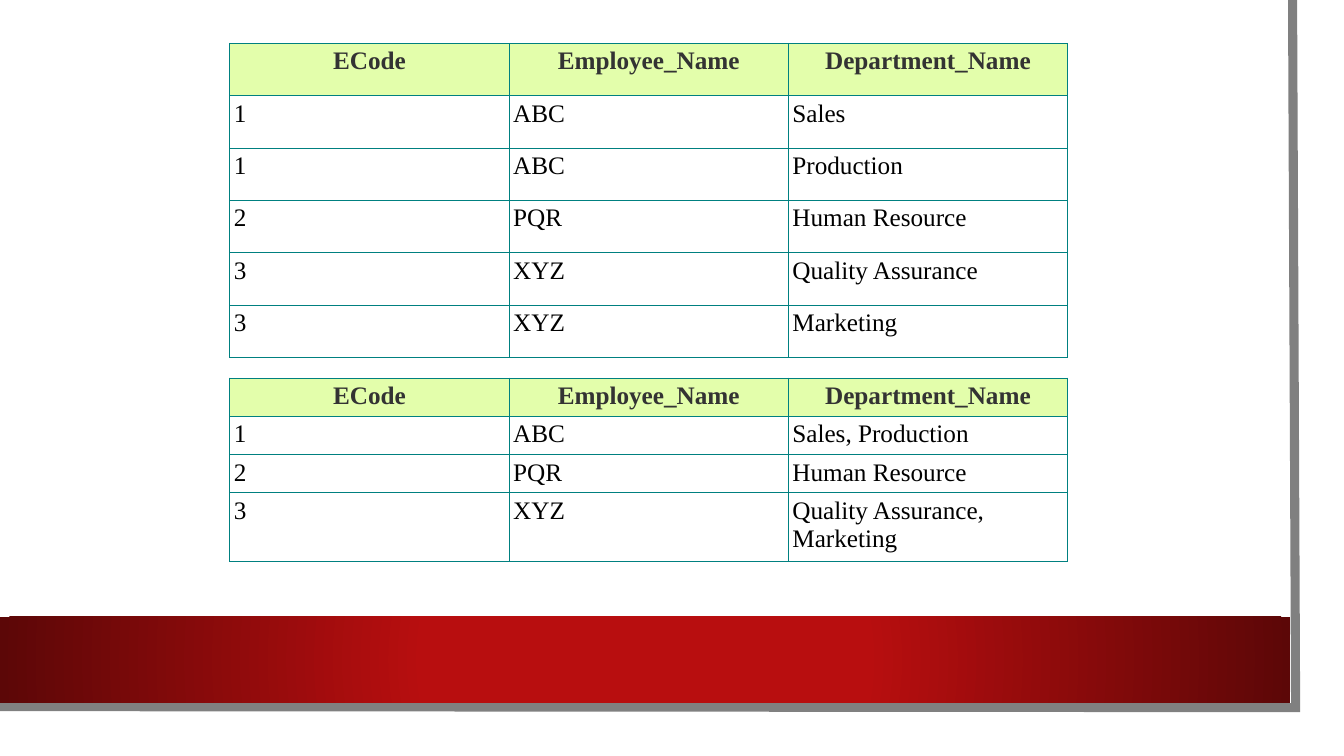
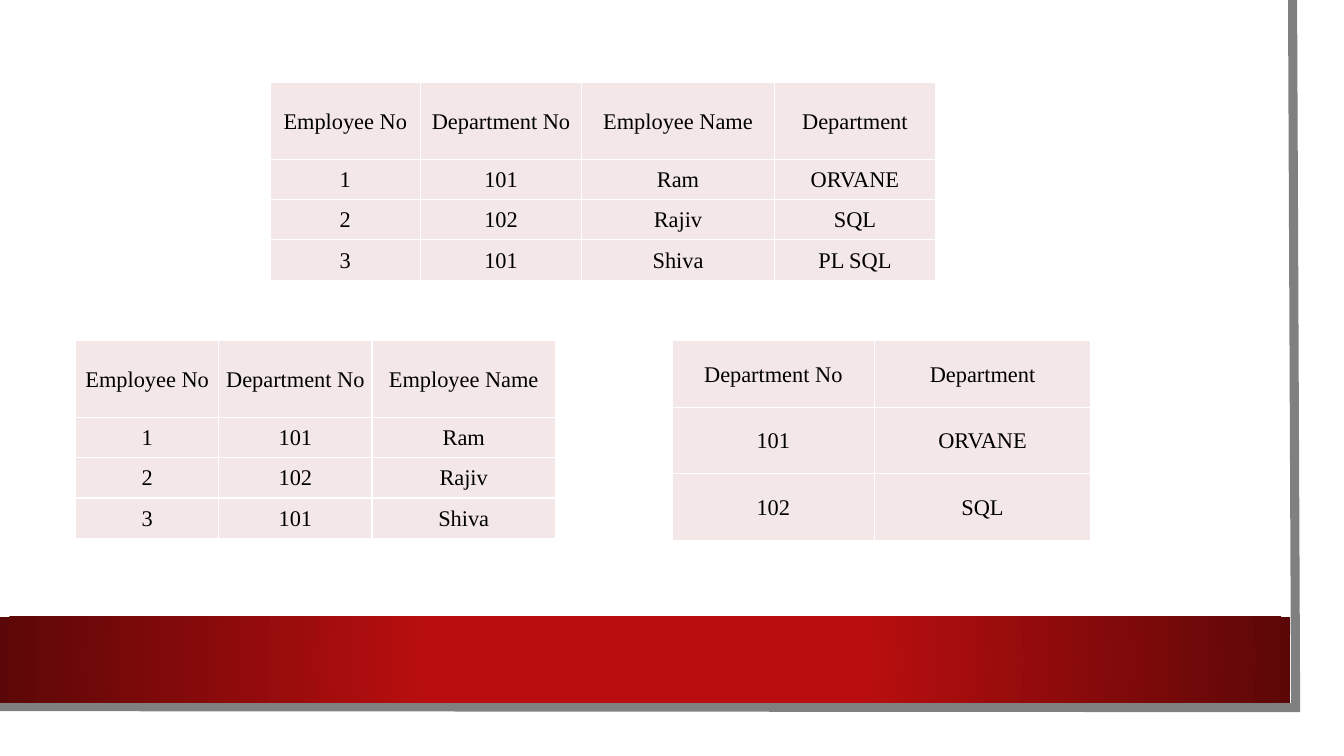
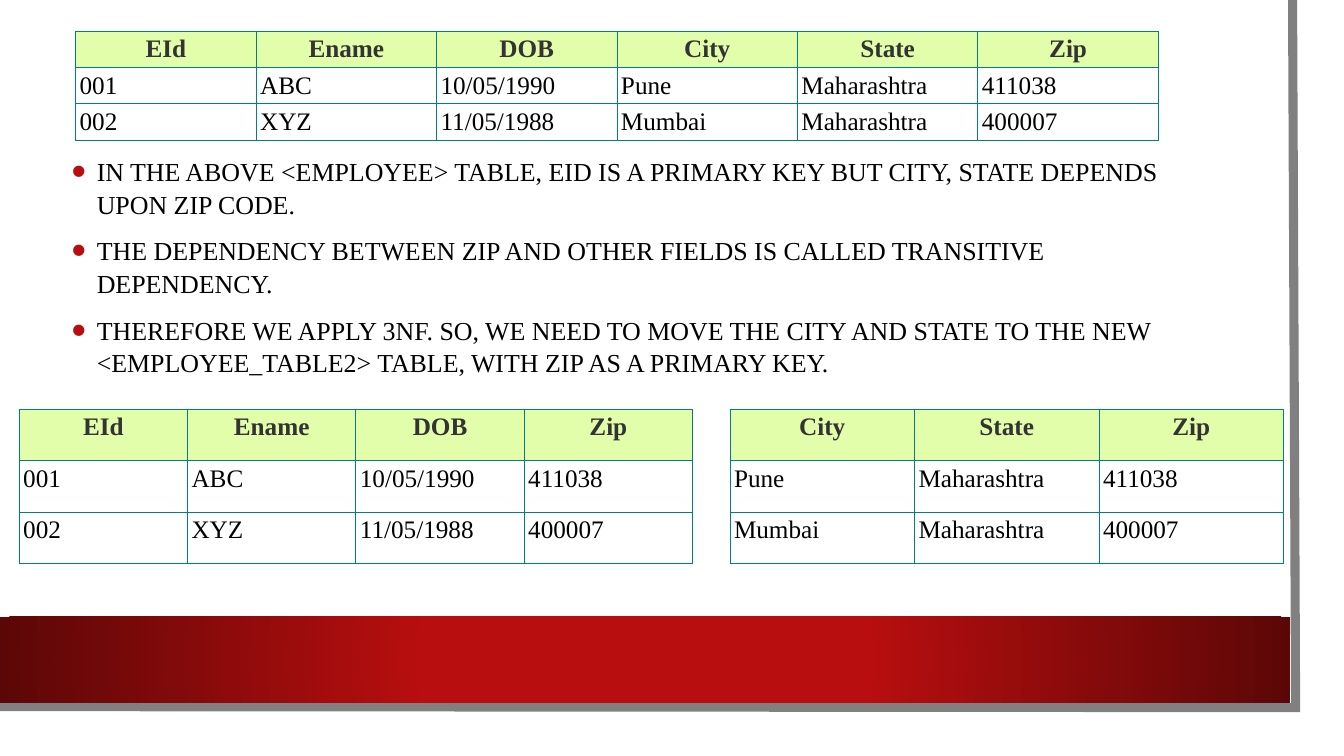
from dataclasses import dataclass

from lxml import etree
from pptx import Presentation
from pptx.dml.color import RGBColor
from pptx.enum.shapes import MSO_SHAPE
from pptx.enum.text import MSO_ANCHOR, MSO_AUTO_SIZE, PP_ALIGN
from pptx.oxml.ns import qn
from pptx.util import Inches, Pt

RECTANGLE = MSO_SHAPE.RECTANGLE
CENTER, LEFT = PP_ALIGN.CENTER, PP_ALIGN.LEFT
TOP, MIDDLE = MSO_ANCHOR.TOP, MSO_ANCHOR.MIDDLE
CONTENT_LAYOUT, BLANK_LAYOUT = 1, 6


@dataclass(frozen=True)
class Theme:
    font: str = "Times New Roman"
    white: str = "FFFFFF"
    black: str = "000000"
    red: str = "B80E0F"
    dark_red: str = "5C0707"
    edge_gray: str = "808080"
    header_text: str = "333333"
    lime: str = "E3FEAB"
    teal: str = "008080"
    blush: str = "F3E7E7"
    grid_size: float = 18
    plain_size: float = 16
    body_size: float = 18.5


THEME = Theme()


@dataclass(frozen=True)
class TableStyle:
    size: float
    header_fill: str
    header_color: str
    header_bold: bool
    body_fill: str
    body_align: PP_ALIGN
    anchor: MSO_ANCHOR
    border: str
    border_width: float
    margins: dict[str, float]


@dataclass(frozen=True)
class TableBlock:
    left: float
    top: float
    columns: list[float]
    heights: list[float]
    rows: list[list[str]]
    style: TableStyle


GRID = TableStyle(
    THEME.grid_size, THEME.lime, THEME.header_text, True, THEME.white, LEFT, TOP, THEME.teal, 0.75,
    {"margin_left": 0.04, "margin_right": 0.04, "margin_top": 0.04, "margin_bottom": 0.04},
)
PLAIN = TableStyle(
    THEME.plain_size, THEME.blush, THEME.black, False, THEME.blush, CENTER, MIDDLE, THEME.white, 1,
    {"margin_left": 0.01, "margin_right": 0.01, "margin_top": 0.01, "margin_bottom": 0},
)


def rgb(value: str) -> RGBColor:
    return RGBColor.from_string(value)


def format_font(font, size: float, color: str, bold: bool = False) -> None:
    for name, value in {"name": THEME.font, "size": Pt(size), "bold": bold}.items():
        setattr(font, name, value)
    font.color.rgb = rgb(color)


def set_borders(cell, color: str, width: float) -> None:
    properties = cell._tc.get_or_add_tcPr()
    for position, side in enumerate(("lnL", "lnR", "lnT", "lnB")):
        line = etree.Element(qn(f"a:{side}"), w=str(int(Pt(width))))
        fill = etree.SubElement(line, qn("a:solidFill"))
        etree.SubElement(fill, qn("a:srgbClr"), val=color)
        properties.insert(position, line)


def format_cell(cell, text: str, style: TableStyle, is_header: bool) -> None:
    cell.text = text
    cell.vertical_anchor = style.anchor
    for name, value in style.margins.items():
        setattr(cell, name, Inches(value))
    cell.fill.solid()
    cell.fill.fore_color.rgb = rgb(style.header_fill if is_header else style.body_fill)
    paragraph = cell.text_frame.paragraphs[0]
    paragraph.alignment = CENTER if is_header else style.body_align
    color = style.header_color if is_header else THEME.black
    format_font(paragraph.runs[0].font, style.size, color, is_header and style.header_bold)
    set_borders(cell, style.border, style.border_width)


def draw_table(slide, block: TableBlock) -> None:
    table = slide.shapes.add_table(
        len(block.rows), len(block.columns), Inches(block.left), Inches(block.top),
        Inches(sum(block.columns)), Inches(sum(block.heights)),
    ).table
    table.first_row = table.horz_banding = False
    for column, width in zip(table.columns, block.columns):
        column.width = Inches(width)
    for row, height in zip(table.rows, block.heights):
        row.height = Inches(height)
    for row_index, texts in enumerate(block.rows):
        for column_index, text in enumerate(texts):
            format_cell(table.cell(row_index, column_index), text, block.style, row_index == 0)


def add_panel(slide, top: float, width: float, height: float):
    """Add a borderless rectangle starting at the left slide edge."""
    panel = slide.shapes.add_shape(RECTANGLE, 0, Inches(top), Inches(width), Inches(height))
    panel.shadow.inherit = False
    panel.line.fill.background()
    return panel


def add_page(slide):
    page = add_panel(slide, 0, 13.1, 7.27)
    page.fill.solid()
    page.fill.fore_color.rgb = rgb(THEME.white)
    return page


def add_page_edge(slide):
    builder = slide.shapes.build_freeform(Inches(12.82), 0)
    builder.add_line_segments(
        [(Inches(12.85), Inches(7.02)), (Inches(-0.03), Inches(7.01))], close=False
    )
    edge = builder.convert_to_shape()
    edge.shadow.inherit = False
    edge.fill.background()
    edge.line.color.rgb = rgb(THEME.edge_gray)
    edge.line.width = Pt(6.5)
    etree.SubElement(edge.element.spPr.find(qn("a:ln")), qn("a:miter"), lim="800000")
    return edge


def add_red_band(slide):
    band = add_panel(slide, 6.12, 12.8, 0.85)
    band.fill.gradient()
    stops = ((0.34, THEME.red), (1, THEME.dark_red))
    for stop, (position, color) in zip(band.fill.gradient_stops, stops):
        stop.position = position
        stop.color.rgb = rgb(color)
    gradient = band.element.spPr.find(qn("a:gradFill"))
    gradient.remove(gradient.find(qn("a:lin")))
    radial = etree.SubElement(gradient, qn("a:path"))
    radial.set("path", "circle")
    etree.SubElement(radial, qn("a:fillToRect"), l="50000", t="50000", r="50000", b="50000")
    return band


def build_master(presentation, slide) -> None:
    """Draw the shared backdrop on a slide, then move it behind the master's placeholders."""
    master_tree = presentation.slide_master.shapes.element
    for index, add_part in enumerate((add_page, add_page_edge, add_red_band)):
        element = add_part(slide).element
        element.nvSpPr.cNvPr.id = 100 + index
        master_tree.insert(2 + index, element)


def set_bullet(paragraph) -> None:
    properties = paragraph._p.get_or_add_pPr()
    properties.set("marL", str(Inches(0.25)))
    properties.set("indent", str(-Inches(0.25)))
    color = etree.SubElement(properties, qn("a:buClr"))
    etree.SubElement(color, qn("a:srgbClr"), val=THEME.red)
    etree.SubElement(properties, qn("a:buSzPct"), val="160000")
    etree.SubElement(properties, qn("a:buFont"), typeface="Arial")
    etree.SubElement(properties, qn("a:buChar"), char="•")


def fill_body(slide, texts: list[str]) -> None:
    slide.shapes.title.element.getparent().remove(slide.shapes.title.element)
    body = slide.placeholders[1]
    for name, value in {"left": 0.61, "top": 1.67, "width": 11.37, "height": 2.39}.items():
        setattr(body, name, Inches(value))
    frame = body.text_frame
    frame.word_wrap = True
    frame.auto_size = MSO_AUTO_SIZE.NONE
    frame.vertical_anchor = MIDDLE
    frame.margin_bottom = Inches(0.5)
    frame.text = "\n".join(texts)
    for paragraph in frame.paragraphs:
        paragraph.alignment = LEFT
        paragraph.line_spacing = 1.05
        paragraph.space_before = Pt(10)
        set_bullet(paragraph)
        format_font(paragraph.runs[0].font, THEME.body_size, THEME.black)


DEPARTMENT_HEADER = ["ECode", "Employee_Name", "Department_Name"]
STAFF = [
    ["Employee No", "Department No", "Employee Name", "Department"],
    ["1", "101", "Ram", "ORVANE"],
    ["2", "102", "Rajiv", "SQL"],
    ["3", "101", "Shiva", "PL SQL"],
]
ADDRESSES = [
    ["EId", "Ename", "DOB", "City", "State", "Zip"],
    ["001", "ABC", "10/05/1990", "Pune", "Maharashtra", "411038"],
    ["002", "XYZ", "11/05/1988", "Mumbai", "Maharashtra", "400007"],
]
STAFF_HEIGHTS = [0.76, 0.4, 0.4, 0.4]

SLIDE_TABLES = [
    [
        TableBlock(2.28, 3.75, [2.77] * 3, [0.38] * 3 + [0.68], [
            DEPARTMENT_HEADER,
            ["1", "ABC", "Sales, Production"],
            ["2", "PQR", "Human Resource"],
            ["3", "XYZ", "Quality Assurance, Marketing"],
        ], GRID),
        TableBlock(2.28, 0.43, [2.77] * 3, [0.52] * 6, [
            DEPARTMENT_HEADER,
            ["1", "ABC", "Sales"],
            ["1", "ABC", "Production"],
            ["2", "PQR", "Human Resource"],
            ["3", "XYZ", "Quality Assurance"],
            ["3", "XYZ", "Marketing"],
        ], GRID),
    ],
    [
        TableBlock(2.68, 0.82, [1.49, 1.6, 1.91, 1.6], STAFF_HEIGHTS, STAFF, PLAIN),
        TableBlock(0.75, 3.38, [1.42, 1.52, 1.82], STAFF_HEIGHTS,
                   [row[:3] for row in STAFF], PLAIN),
        TableBlock(6.67, 3.38, [2, 2.15], [0.66] * 3,
                   [[row[1], row[3]] for row in STAFF[:3]], PLAIN),
    ],
    [
        TableBlock(0.75, 0.31, [1.79] * 6, [0.36] * 3, ADDRESSES, GRID),
        TableBlock(0.19, 4.06, [1.67] * 4, [0.51] * 3,
                   [row[:3] + row[5:] for row in ADDRESSES], GRID),
        TableBlock(7.24, 4.06, [1.83] * 3, [0.51] * 3, [row[3:] for row in ADDRESSES], GRID),
    ],
]
DEPENDENCY_NOTES = [
    "IN THE ABOVE <EMPLOYEE> TABLE, EID IS A PRIMARY KEY BUT CITY, STATE DEPENDS UPON ZIP CODE.",
    "THE DEPENDENCY BETWEEN ZIP AND OTHER FIELDS IS CALLED TRANSITIVE DEPENDENCY.",
    "THEREFORE WE APPLY 3NF. SO, WE NEED TO MOVE THE CITY AND STATE TO THE NEW "
    "<EMPLOYEE_TABLE2> TABLE, WITH ZIP AS A PRIMARY KEY.",
]


def main() -> None:
    presentation = Presentation()
    presentation.slide_width, presentation.slide_height = Inches(13.33), Inches(7.5)
    layouts = presentation.slide_layouts
    slides = [
        presentation.slides.add_slide(layouts[index])
        for index in (BLANK_LAYOUT, BLANK_LAYOUT, CONTENT_LAYOUT)
    ]
    build_master(presentation, slides[0])
    fill_body(slides[2], DEPENDENCY_NOTES)
    for slide, blocks in zip(slides, SLIDE_TABLES):
        for block in blocks:
            draw_table(slide, block)
    presentation.save("out.pptx")


if __name__ == "__main__":
    main()
